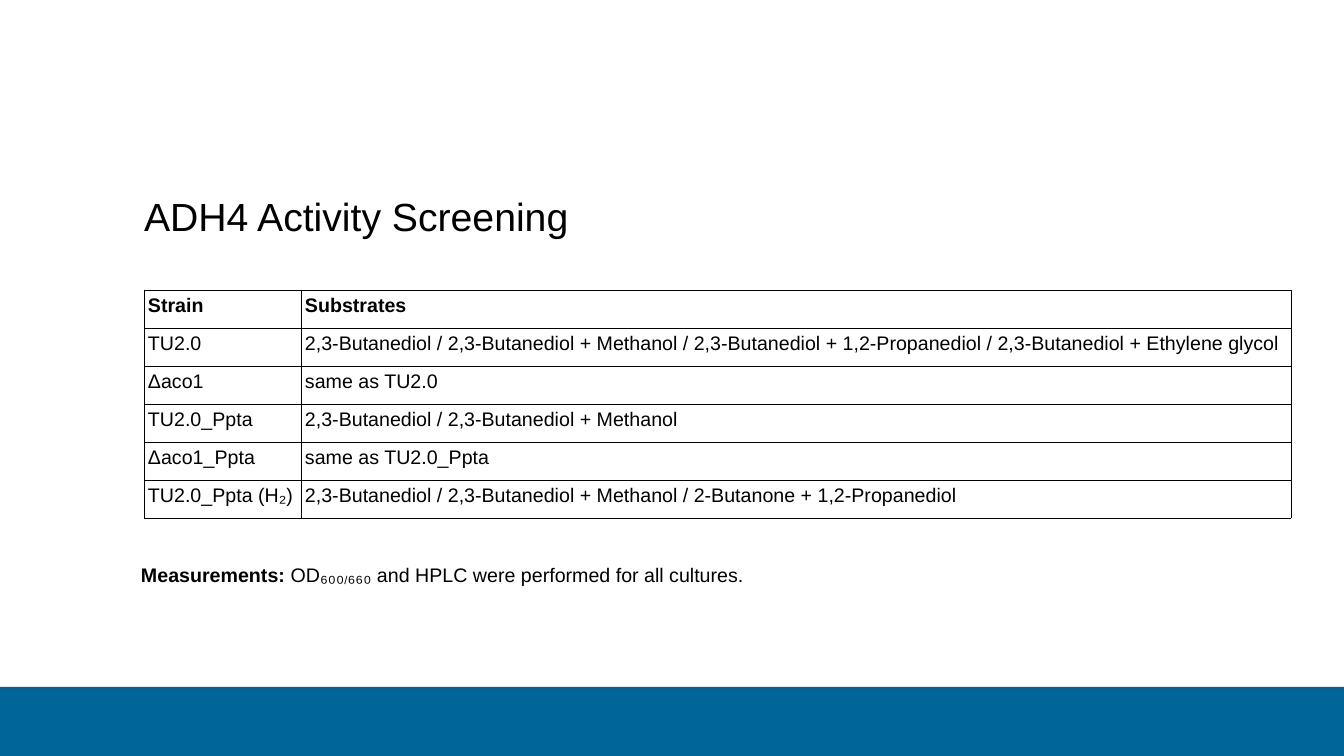
from lxml import etree
from pptx import Presentation
from pptx import util as u
from pptx.dml.color import RGBColor
from pptx.enum import shapes, text
from pptx.oxml import ns

BLACK = RGBColor(0x00, 0x00, 0x00)
WHITE = RGBColor(0xFF, 0xFF, 0xFF)
BLUE = RGBColor(0x00, 0x66, 0x99)
FONT = "Arial"
EMU_PER_PX = 914400 / 100.8
SLIDE_WIDTH, SLIDE_HEIGHT = 1344, 756
ROW_HEIGHT = 38
STRAIN_WIDTH = 157
BORDER_EMU = u.Pt(0.57)

STRAINS = [
    ("Strain", "Substrates"),
    ("TU2.0", "2,3-Butanediol / 2,3-Butanediol + Methanol / "
              "2,3-Butanediol + 1,2-Propanediol / 2,3-Butanediol + Ethylene glycol"),
    ("Δaco1", "same as TU2.0"),
    ("TU2.0_Ppta", "2,3-Butanediol / 2,3-Butanediol + Methanol"),
    ("Δaco1_Ppta", "same as TU2.0_Ppta"),
    ("TU2.0_Ppta (H₂)", "2,3-Butanediol / 2,3-Butanediol + Methanol / 2-Butanone + 1,2-Propanediol"),
]


def px(length):
    return u.Emu(round(length * EMU_PER_PX))


def add_text(paragraph, words, size=14, bold=False, baseline=0):
    run = paragraph.add_run()
    run.text = words
    run.font.name = FONT
    run.font.size = u.Pt(size)
    run.font.bold = bold
    run.font.color.rgb = BLACK
    if baseline:
        run.font._element.set("baseline", str(baseline * 1000))


def space_paragraph(paragraph):
    paragraph.alignment = text.PP_ALIGN.LEFT
    paragraph.space_before = u.Pt(11.9)
    paragraph.space_after = u.Pt(9.9)


def set_margins(target, horizontal, vertical):
    target.margin_left = target.margin_right = px(horizontal)
    target.margin_top = target.margin_bottom = px(vertical)


def add_borders(cell):
    properties = cell._tc.get_or_add_tcPr()
    for index, side in enumerate(("lnL", "lnR", "lnT", "lnB")):
        line = etree.Element(ns.qn(f"a:{side}"), w=str(BORDER_EMU))
        fill = etree.SubElement(line, ns.qn("a:solidFill"))
        etree.SubElement(fill, ns.qn("a:srgbClr"), val=str(BLACK))
        properties.insert(index, line)


def add_footer_bar(slide, left, top, width, height):
    bar = slide.shapes.add_shape(
        shapes.MSO_SHAPE.RECTANGLE, px(left), px(top), px(width), px(height))
    bar.shadow.inherit = False
    bar.fill.solid()
    bar.fill.fore_color.rgb = BLUE
    bar.line.fill.background()


def place_title(slide, left, top, width, height):
    title = slide.shapes.title
    title.left, title.top = px(left), px(top)
    title.width, title.height = px(width), px(height)
    frame = title.text_frame
    set_margins(frame, 0, 0)
    frame.word_wrap = True
    frame.vertical_anchor = text.MSO_ANCHOR.MIDDLE
    paragraph = frame.paragraphs[0]
    space_paragraph(paragraph)
    add_text(paragraph, "ADH4 Activity Screening", size=28)


def add_strain_table(slide, left, top, width):
    table = slide.shapes.add_table(
        len(STRAINS), 2, px(left), px(top), px(width), px(ROW_HEIGHT * len(STRAINS))).table
    table.first_row = table.horz_banding = False
    table.columns[0].width = px(STRAIN_WIDTH)
    table.columns[1].width = px(width - STRAIN_WIDTH)
    for row_index, entries in enumerate(STRAINS):
        table.rows[row_index].height = px(ROW_HEIGHT)
        for column_index, words in enumerate(entries):
            cell = table.cell(row_index, column_index)
            set_margins(cell, 4, 5)
            cell.fill.solid()
            cell.fill.fore_color.rgb = WHITE
            add_borders(cell)
            paragraph = cell.text_frame.paragraphs[0]
            space_paragraph(paragraph)
            add_text(paragraph, words, bold=row_index == 0)


def add_measurements(slide, left, top, width, height):
    frame = slide.shapes.add_textbox(px(left), px(top), px(width), px(height)).text_frame
    frame.word_wrap = True
    set_margins(frame, 10, 5)
    paragraph = frame.paragraphs[0]
    add_text(paragraph, "Measurements:", bold=True)
    add_text(paragraph, " OD₆₀₀")
    add_text(paragraph, "/", baseline=-8)
    add_text(paragraph, "₆₆₀ and HPLC were performed for all cultures.")


def main():
    presentation = Presentation()
    presentation.slide_width = px(SLIDE_WIDTH)
    presentation.slide_height = px(SLIDE_HEIGHT)
    slide = presentation.slides.add_slide(presentation.slide_layouts[5])
    add_footer_bar(slide, 0, 687, SLIDE_WIDTH, SLIDE_HEIGHT - 687)
    place_title(slide, 144, 170, 1147, 92)
    add_strain_table(slide, 144, 290, 1147)
    add_measurements(slide, 131, 558, 1164, 54)
    presentation.save("out.pptx")


if __name__ == "__main__":
    main()
